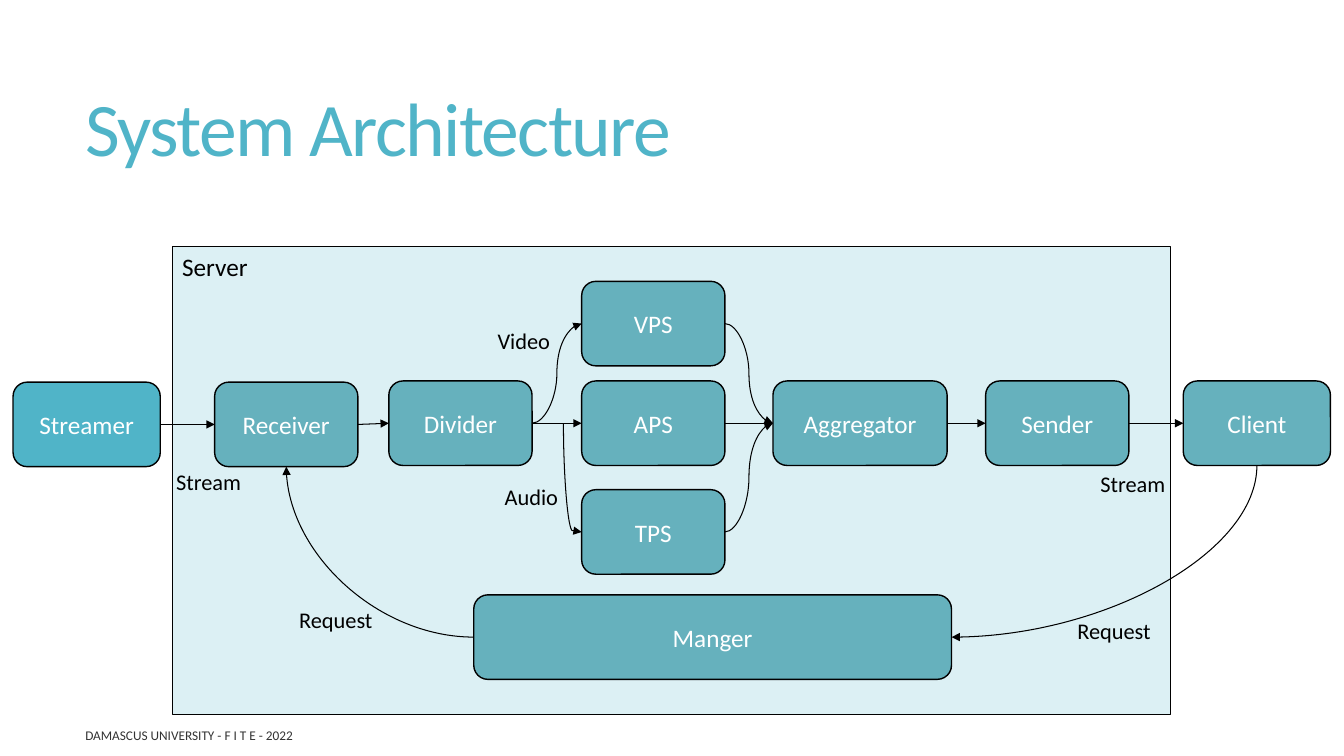
from dataclasses import dataclass
from typing import Optional

from lxml import etree
from pptx import Presentation
from pptx.dml.color import RGBColor
from pptx.enum.shapes import MSO_CONNECTOR, MSO_SHAPE
from pptx.enum.text import MSO_ANCHOR, MSO_AUTO_SIZE, PP_ALIGN
from pptx.oxml.ns import qn
from pptx.util import Cm, Pt

STRAIGHT, CURVE = MSO_CONNECTOR.STRAIGHT, MSO_CONNECTOR.CURVE
RECT, ROUNDED = MSO_SHAPE.RECTANGLE, MSO_SHAPE.ROUNDED_RECTANGLE
MIDDLE = MSO_ANCHOR.MIDDLE
LEFT, CENTER = PP_ALIGN.LEFT, PP_ALIGN.CENTER
LEFT_SIDE, BOTTOM, RIGHT_SIDE = 1, 2, 3  # connection sites of a rectangle

BLACK = RGBColor(0x00, 0x00, 0x00)
WHITE = RGBColor(0xFF, 0xFF, 0xFF)
GREY = RGBColor(0x33, 0x33, 0x33)
CYAN = RGBColor(0x50, 0xB4, 0xC8)
TEAL = RGBColor(0x66, 0xB1, 0xBD)
PALE = RGBColor(0xDC, 0xF0, 0xF4)

FONT = "Calibri"
BOX_W, BOX_H, ROW_Y = 3.61, 2.13, 9.6


@dataclass
class Box:
    name: str
    x: float
    y: float = ROW_Y
    w: float = BOX_W
    fill: RGBColor = TEAL


@dataclass
class Link:
    start: Optional[str]  # None starts at the audio branch point
    end: str
    kind: MSO_CONNECTOR = STRAIGHT
    start_site: int = RIGHT_SIDE
    end_site: int = LEFT_SIDE
    quarter: bool = False
    vertical: bool = False  # leaves its start downwards
    adjust: Optional[int] = None


@dataclass
class Label:
    text: str
    x: float
    y: float
    w: float
    h: float = 0.94
    size: float = 16
    color: RGBColor = BLACK
    anchor: MSO_ANCHOR = MSO_ANCHOR.TOP


BOXES = [
    Box("Streamer", 0.33, 9.63, 3.71, CYAN),
    Box("Client", 29.82, w=3.71),
    Box("Receiver", 5.41, 9.63),
    Box("Divider", 9.8),
    Box("Aggregator", 19.48, w=4.39),
    Box("Manger", 11.94, 14.99, 12.04),
    Box("TPS", 14.66, 12.34),
    Box("APS", 14.66),
    Box("VPS", 14.66, 7.09),
    Box("Sender", 24.84),
]
BRANCH = (14.2, 10.67)
LINKS = [
    Link("Streamer", "Receiver"),
    Link("Receiver", "Divider"),
    Link("Divider", "VPS", CURVE),
    Link("Divider", "APS"),
    Link(None, "TPS", CURVE, vertical=True, adjust=98800),
    Link("VPS", "Aggregator", CURVE),
    Link("APS", "Aggregator"),
    Link("TPS", "Aggregator", CURVE),
    Link("Aggregator", "Sender"),
    Link("Sender", "Client"),
    Link("Client", "Manger", CURVE, BOTTOM, RIGHT_SIDE, quarter=True, vertical=True),
    Link("Manger", "Receiver", CURVE, LEFT_SIDE, BOTTOM, quarter=True),
]
LABELS = [
    Label("Server", 4.34, 6.22, 2.36, 1.02, 18),
    Label("Request", 26.9, 15.42, 2.42),
    Label("Request", 7.29, 15.16, 2.42),
    Label("Video", 12.29, 8.13, 1.93),
    Label("Audio", 12.47, 12.04, 1.93),
    Label("Stream", 4.19, 11.66, 2.34),
    Label("Stream", 27.48, 11.73, 2.34),
    Label("DAMASCUS UNIVERSITY - F I T E - 2022", 1.9, 18.21, 13.97, 0.64,
          9.5, GREY, MIDDLE),
]


def write(tf, text: str, size: float, color: RGBColor, align: PP_ALIGN = LEFT):
    tf.text = text
    tf.word_wrap = True
    p = tf.paragraphs[0]
    p.alignment = align
    r = p.runs[0]
    r.font.name, r.font.size = FONT, Pt(size)
    r.font.color.rgb = color
    return p


def add_panel(slide, kind: MSO_SHAPE, x: float, y: float, w: float, h: float,
              fill: RGBColor, line_pt: float):
    sp = slide.shapes.add_shape(kind, Cm(x), Cm(y), Cm(w), Cm(h))
    sp.shadow.inherit = False
    sp.fill.solid()
    sp.fill.fore_color.rgb = fill
    sp.line.color.rgb = BLACK
    sp.line.width = Pt(line_pt)
    return sp


def add_box(slide, box: Box):
    sp = add_panel(slide, ROUNDED, box.x, box.y, box.w, BOX_H, box.fill, 1)
    sp.text_frame.vertical_anchor = MIDDLE
    write(sp.text_frame, box.name, 18, WHITE, CENTER)
    return sp


def turn_down(cxn) -> None:
    """Rotate a connector a quarter turn, keeping both of its ends in place."""
    x1, y1, x2, y2 = cxn.begin_x, cxn.begin_y, cxn.end_x, cxn.end_y
    mid_x, mid_y = (x1 + x2) // 2, (y1 + y2) // 2
    half_w, half_h = (x2 - x1) // 2, (y2 - y1) // 2
    cxn.begin_x, cxn.begin_y = mid_x - half_h, mid_y + half_w
    cxn.end_x, cxn.end_y = mid_x + half_h, mid_y - half_w
    cxn._element.spPr.find(qn("a:xfrm")).set("rot", "5400000")


def add_link(slide, link: Link, boxes: dict) -> None:
    x, y = BRANCH
    cxn = slide.shapes.add_connector(link.kind, Cm(x), Cm(y), Cm(x), Cm(y))
    if link.start:
        cxn.begin_connect(boxes[link.start], link.start_site)
    cxn.end_connect(boxes[link.end], link.end_site)
    if link.vertical:
        turn_down(cxn)
    cxn.line.color.rgb = BLACK
    cxn.line.width = Pt(0.75)

    spPr = cxn._element.spPr
    geom = spPr.find(qn("a:prstGeom"))
    if link.quarter:
        geom.set("prst", "curvedConnector2")
    if link.adjust is not None:
        etree.SubElement(geom.find(qn("a:avLst")), qn("a:gd"),
                         name="adj1", fmla=f"val {link.adjust}")
    etree.SubElement(spPr.find(qn("a:ln")), qn("a:tailEnd"), type="triangle")
    etree.SubElement(spPr, qn("a:effectLst"))


def add_label(slide, label: Label) -> None:
    tb = slide.shapes.add_textbox(Cm(label.x), Cm(label.y), Cm(label.w), Cm(label.h))
    tb.text_frame.vertical_anchor = label.anchor
    write(tb.text_frame, label.text, label.size, label.color)


def add_title(slide, text: str) -> None:
    sp = slide.shapes.title
    sp.left, sp.top, sp.width, sp.height = Cm(1.9), Cm(1.07), Cm(29.92), Cm(4.6)
    tf = sp.text_frame
    tf.auto_size = MSO_AUTO_SIZE.NONE
    tf.vertical_anchor = MIDDLE
    p = write(tf, text, 54, CYAN)
    p.line_spacing = 0.85
    p.runs[0].font._element.set("spc", "-120")


def main() -> None:
    prs = Presentation()
    prs.slide_width, prs.slide_height = Cm(33.87), Cm(19.05)
    slide = prs.slides.add_slide(prs.slide_layouts[5])
    add_title(slide, "System Architecture")

    # Server area, then the components and the flow between them
    add_panel(slide, RECT, 4.34, 6.22, 25.17, 11.79, PALE, 0.75)
    boxes = {box.name: add_box(slide, box) for box in BOXES}
    for link in LINKS:
        add_link(slide, link, boxes)

    # Flow labels and footer
    for label in LABELS:
        add_label(slide, label)
    prs.save("out.pptx")


if __name__ == "__main__":
    main()
